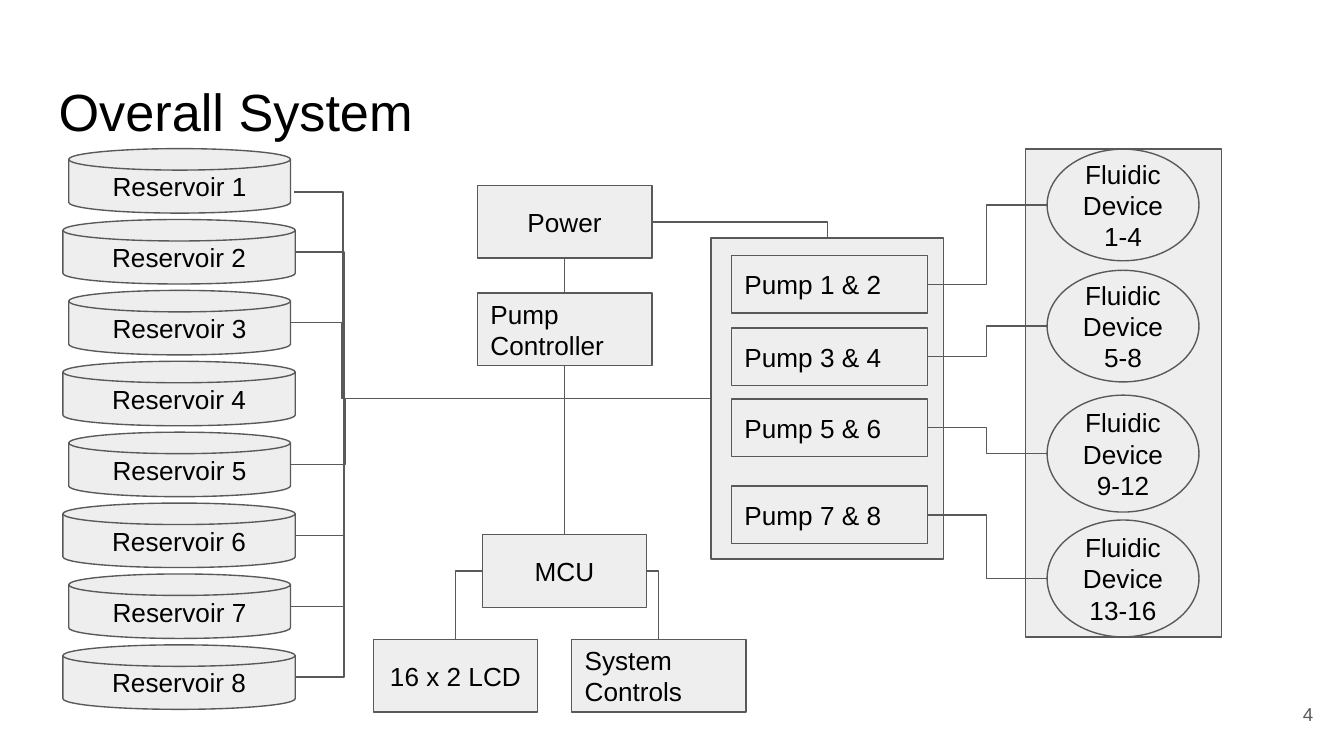
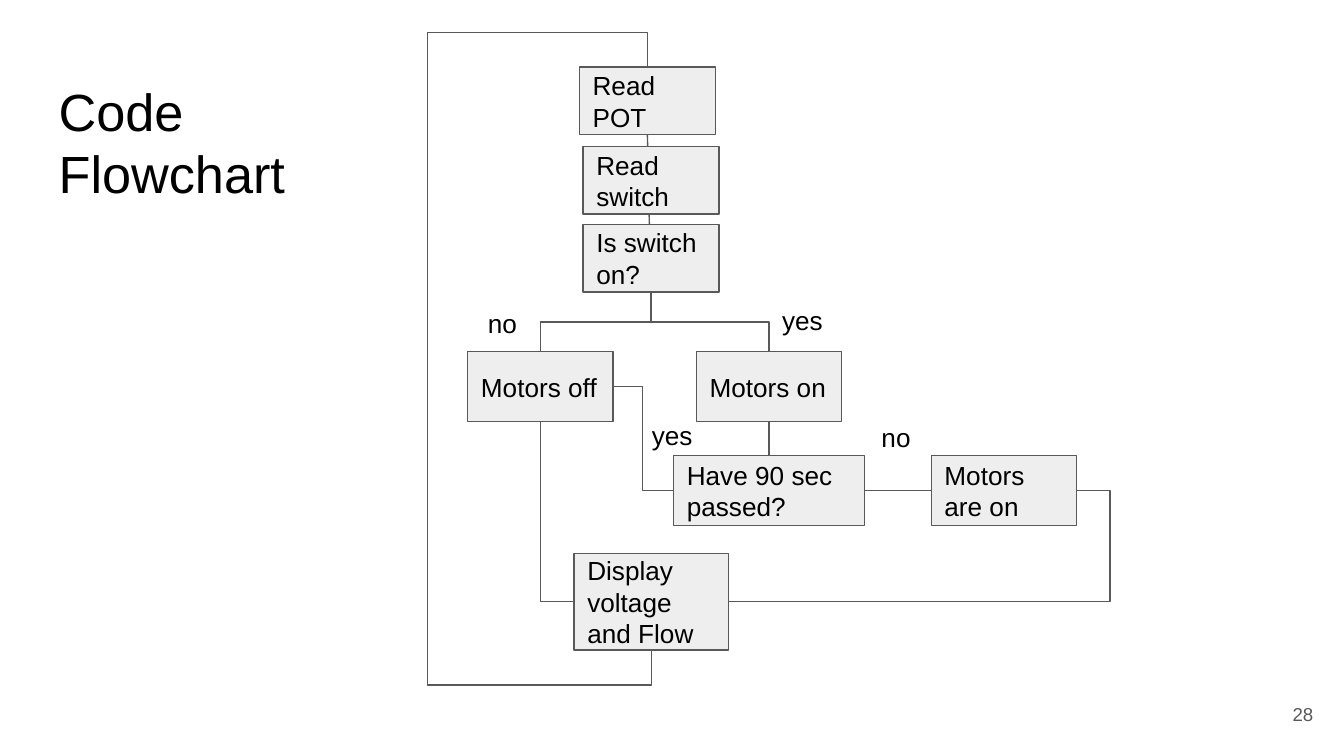
from dataclasses import dataclass

from lxml.etree import SubElement
from pptx import Presentation
from pptx.dml.color import RGBColor
from pptx.enum.shapes import MSO_CONNECTOR as Link, MSO_SHAPE as Preset
from pptx.enum.text import MSO_ANCHOR as Anchor, PP_ALIGN as Align
from pptx.oxml.ns import qn
from pptx.util import Cm, Pt

FONT = "Arial"
INK = "000000"
GREY = "595959"
PALE = "EEEEEE"
LINE_WIDTH = 0.75
INSET = 0.25


def color(hex_value):
    return RGBColor.from_string(hex_value)


def write(frame, text, size=14, ink=INK, align=Align.LEFT, anchor=Anchor.MIDDLE):
    """Fill a text frame, one paragraph per line of text."""
    frame.word_wrap = True
    frame.vertical_anchor = anchor
    frame.margin_left = frame.margin_right = Cm(INSET)
    frame.margin_top = frame.margin_bottom = Cm(INSET)
    for index, line in enumerate(text.split("\n")):
        paragraph = frame.add_paragraph() if index else frame.paragraphs[0]
        paragraph.alignment = align
        run = paragraph.add_run()
        run.text = line
        run.font.name = FONT
        run.font.size = Pt(size)
        run.font.color.rgb = color(ink)


@dataclass
class Box:
    """A rectangle in centimetres with the midpoints of its sides."""
    x: float
    y: float
    width: float
    height: float

    @property
    def left(self):
        return self.x, self.y + self.height / 2

    @property
    def right(self):
        return self.x + self.width, self.y + self.height / 2

    @property
    def top(self):
        return self.x + self.width / 2, self.y

    @property
    def bottom(self):
        return self.x + self.width / 2, self.y + self.height


class Deck:
    """Holds the presentation, its style and the current slide."""

    def __init__(self):
        self.presentation = Presentation()
        self.presentation.slide_width = Cm(25.4)
        self.presentation.slide_height = Cm(14.29)
        self.slide = None

    def new_slide(self, title, number, title_width):
        blank = self.presentation.slide_layouts[6]
        self.slide = self.presentation.slides.add_slide(blank)
        self.label(title, 0.86, 1.24, title_width, 1.6, size=28)
        self.label(str(number), 23.55, 12.95, 1.52, 1.09, size=10, ink=GREY,
                   align=Align.RIGHT, anchor=Anchor.MIDDLE)

    def label(self, text, x, y, width, height, anchor=Anchor.TOP, **style):
        area = self.slide.shapes.add_textbox(Cm(x), Cm(y), Cm(width), Cm(height))
        write(area.text_frame, text, anchor=anchor, **style)

    def node(self, text, x, y, width, height, preset=Preset.RECTANGLE, **style):
        """Draw a grey shape and return its Box for connecting."""
        shape = self.slide.shapes.add_shape(
            preset, Cm(x), Cm(y), Cm(width), Cm(height))
        shape.shadow.inherit = False
        shape.fill.solid()
        shape.fill.fore_color.rgb = color(PALE)
        shape.line.color.rgb = color(GREY)
        shape.line.width = Pt(LINE_WIDTH)
        if text:
            write(shape.text_frame, text, **style)
        return Box(x, y, width, height)

    def line(self, start, end, kind=Link.STRAIGHT):
        connector = self.slide.shapes.add_connector(
            kind, *(Cm(value) for value in (*start, *end)))
        connector.line.color.rgb = color(GREY)
        connector.line.width = Pt(LINE_WIDTH)
        properties = connector._element.spPr
        SubElement(properties, qn("a:effectLst"))
        return properties

    def elbow(self, start, end, *turns, vertical=False):
        """Draw a bent line; turns are the x and y, by turns, where it bends.

        It leaves the start sideways, or up or down if vertical. A line
        without turns has one corner.
        """
        (x1, y1), (x2, y2) = start, end
        if vertical:
            middle_x, middle_y = (x1 + x2) / 2, (y1 + y2) / 2
            half_x, half_y = (x2 - x1) / 2, (y2 - y1) / 2
            properties = self.line((middle_x - half_y, middle_y + half_x),
                                   (middle_x + half_y, middle_y - half_x), Link.ELBOW)
            properties.find(qn("a:xfrm")).set("rot", "5400000")
        else:
            properties = self.line(start, end, Link.ELBOW)
        geometry = properties.find(qn("a:prstGeom"))
        geometry.set("prst", f"bentConnector{len(turns) + 2}")
        guides = geometry.find(qn("a:avLst"))
        for index, turn in enumerate(turns):
            axis = (index + vertical) % 2
            share = (turn - start[axis]) / (end[axis] - start[axis])
            SubElement(guides, qn("a:gd"), name=f"adj{index + 1}",
                       fmla=f"val {round(share * 100000)}")

    def save(self):
        self.presentation.save("out.pptx")


def add_overall_system(deck):
    deck.new_slide("Overall System", 4, 23.67)
    centered = {"align": Align.CENTER}

    pump_panel = deck.node("", 13.44, 4.5, 4.39, 6.07)
    deck.node("", 19.38, 2.82, 3.71, 9.22)
    channels = [
        ("Pump 1 & 2", 4.83, "1-4", 2.82, 2.11),
        ("Pump 3 & 4", 6.2, "5-8", 5.11, 2.11),
        ("Pump 5 & 6", 7.54, "9-12", 7.47, 2.21),
        ("Pump 7 & 8", 9.19, "13-16", 9.83, 2.21),
    ]
    for pump_name, pump_y, devices, device_y, device_height in channels:
        pump = deck.node(pump_name, 13.82, pump_y, 3.71, 1.09)
        device = deck.node(f"Fluidic Device {devices}", 19.79, device_y, 2.87,
                           device_height, Preset.OVAL, **centered)
        deck.elbow(pump.right, device.left, 18.65)

    bend_xs = [6.48, 6.5, 6.45, None, 6.53, 6.5, 6.5, 6.5]
    for index, bend_x in enumerate(bend_xs):
        x, width = (1.19, 4.39) if index % 2 else (1.3, 4.19)
        reservoir = deck.node(f"Reservoir {index + 1}", x, 2.81 + 1.34 * index, width,
                              1.22, Preset.FLOWCHART_MAGNETIC_DISK, **centered)
        outlet = reservoir.right if index else (5.56, 3.63)
        if bend_x:
            deck.elbow(outlet, pump_panel.left, bend_x)

    def process(text, x, y, width, **style):
        return deck.node(text, x, y, width, 1.37, Preset.FLOWCHART_PROCESS, **style)

    power = process("Power", 9.02, 3.51, 3.3, **centered)
    mcu = process("MCU", 9.12, 10.11, 3.1, **centered)
    lcd = process("16 x 2 LCD", 7.06, 12.09, 3.1, **centered)
    controls = process("System Controls", 10.8, 12.09, 3.3)
    deck.line(power.bottom, mcu.top)
    process("Pump Controller", 9.02, 5.54, 3.3)
    deck.elbow(power.right, pump_panel.top)
    deck.elbow(mcu.left, lcd.top)
    deck.elbow(mcu.right, controls.top)


def add_code_flowchart(deck):
    deck.new_slide("Code\nFlowchart", 28, 7.98)

    read_pot = deck.node("Read POT", 10.95, 1.27, 2.57, 1.28)
    deck.line(read_pot.bottom, (12.3, 5.51))
    deck.node("Read\nswitch", 11.02, 2.77, 2.57, 1.28)
    is_switch_on = deck.node("Is switch on?", 11.02, 4.24, 2.57, 1.28)
    motors_off = deck.node("Motors off", 8.84, 6.65, 2.75, 1.32)
    motors_on = deck.node("Motors on", 13.16, 6.65, 2.75, 1.32)
    time_passed = deck.node("Have 90 sec passed?", 12.73, 8.61, 3.61, 1.32)
    still_on = deck.node("Motors are on", 17.6, 8.61, 2.75, 1.32)
    display = deck.node("Display voltage and Flow", 10.85, 10.46, 2.92, 1.83)

    for outcome in (motors_off, motors_on):
        deck.elbow(is_switch_on.bottom, outcome.top, 6.09, vertical=True)
    deck.line(motors_on.bottom, time_passed.top)
    deck.line(time_passed.right, still_on.left)
    deck.elbow(time_passed.left, motors_off.right, 12.15)
    deck.elbow(display.left, motors_off.bottom)
    deck.elbow(still_on.right, display.right, 20.98)
    deck.elbow(display.bottom, read_pot.top, 12.95, 8.08, 0.61, vertical=True)

    for x, y in ((14.53, 5.51), (12.07, 7.67)):
        deck.label("yes", x, y, 1.52, 0.97)
    for x, y in ((8.97, 5.56), (16.41, 7.72)):
        deck.label("no", x, y, 1.12, 0.84)


def main():
    deck = Deck()
    add_overall_system(deck)
    add_code_flowchart(deck)
    deck.save()


if __name__ == "__main__":
    main()
